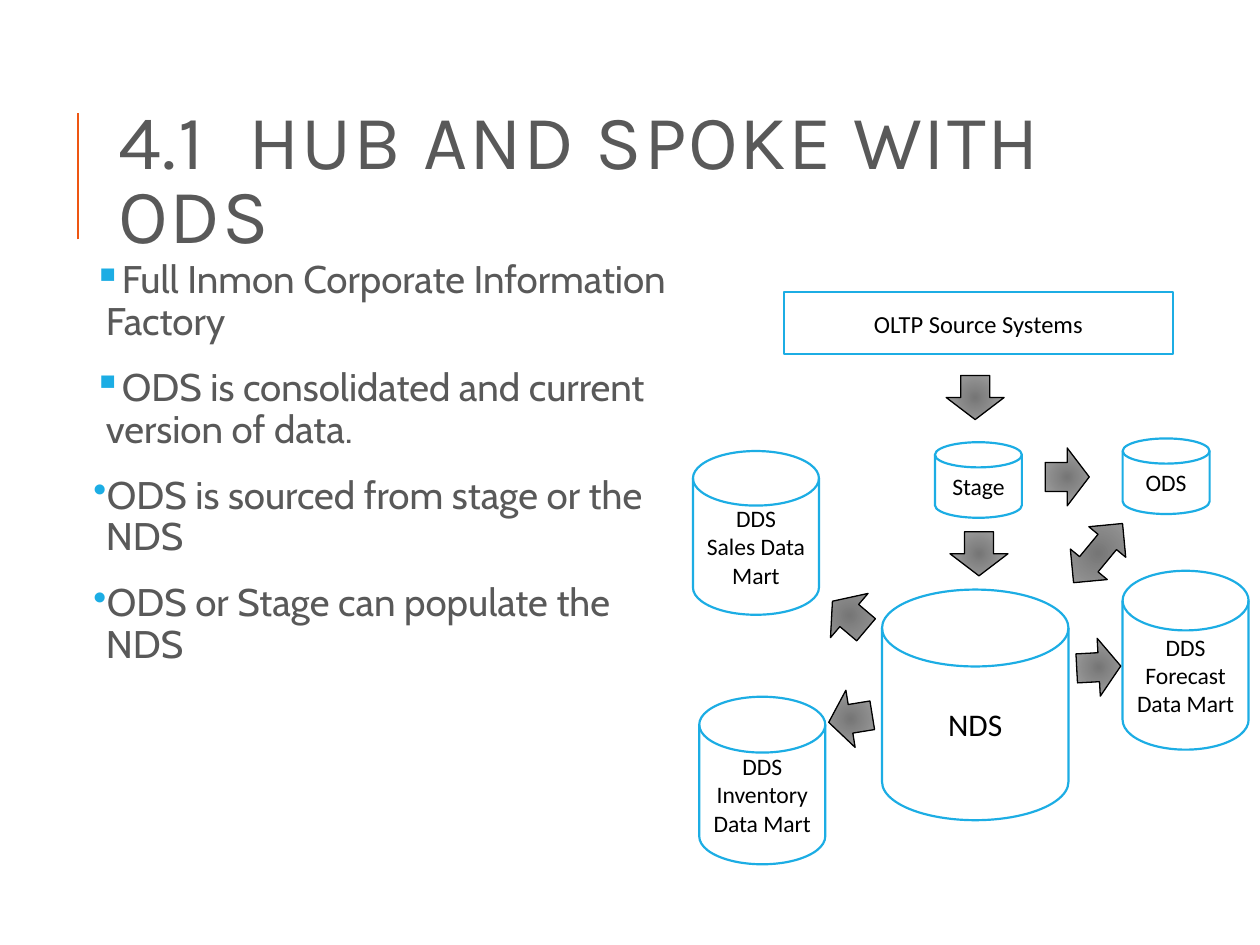
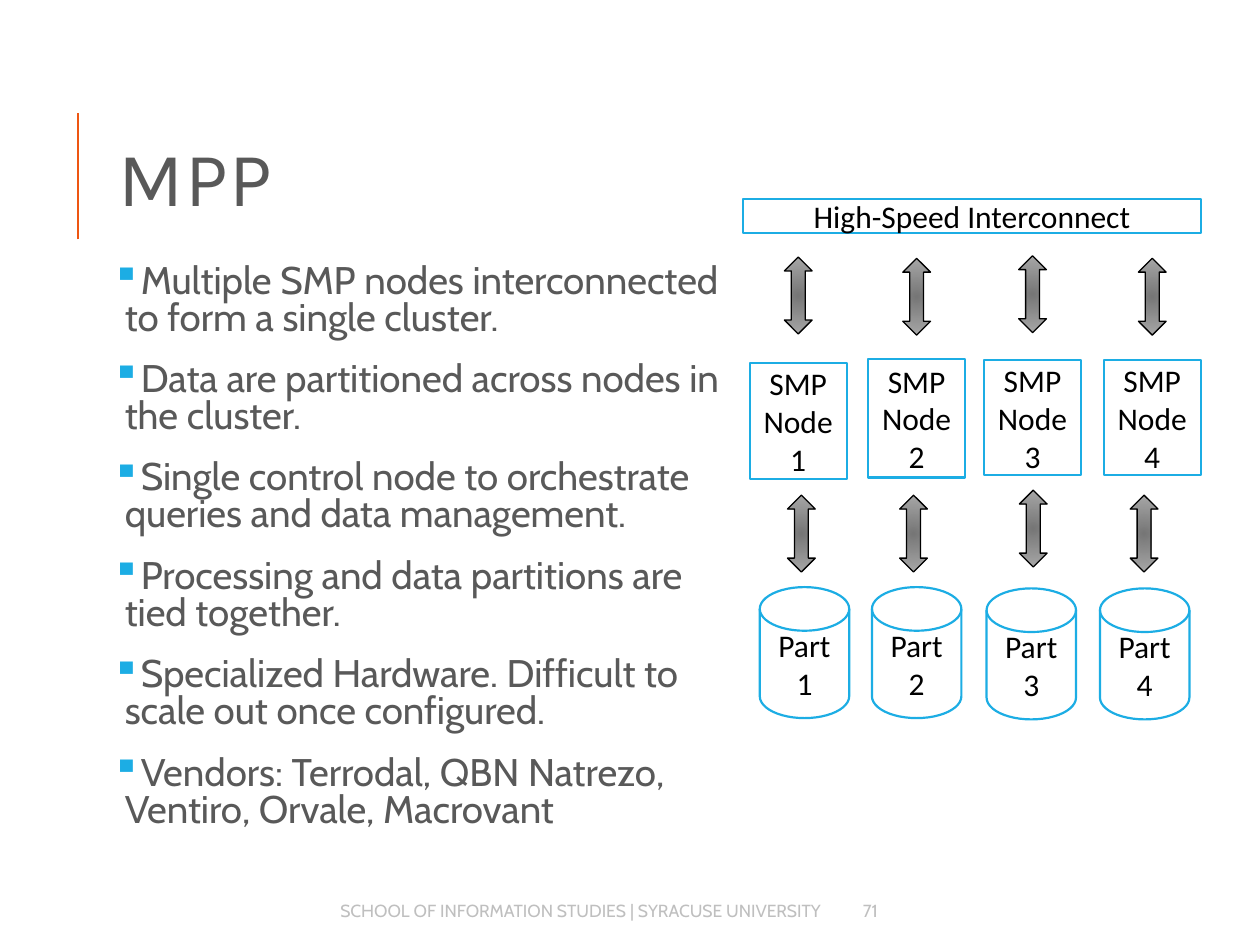
from dataclasses import dataclass

from lxml.etree import SubElement
from pptx import Presentation
from pptx.dml.color import RGBColor
from pptx.enum.shapes import MSO_CONNECTOR, MSO_SHAPE
from pptx.enum.text import MSO_ANCHOR, PP_ALIGN
from pptx.oxml import parse_xml
from pptx.oxml.ns import nsdecls, qn
from pptx.util import Inches, Pt


@dataclass(frozen=True)
class Theme:
    accent: str = "EE5612"
    outline: str = "1CADE4"
    heading: str = "595959"
    footer: str = "BFBFBF"
    ink: str = "000000"
    paper: str = "FFFFFF"
    arrow_core: str = "767676"
    arrow_edge: str = "A9A9A9"
    title_font: str = "Karla"
    body_font: str = "Cabin"
    label_font: str = "Calibri"
    title_size: float = 44
    body_size: float = 22
    footer_size: float = 10
    label_size: float = 18
    source_size: float = 14
    store_size: float = 13.5


THEME = Theme()
DISK = MSO_SHAPE.FLOWCHART_MAGNETIC_DISK
DOWN = MSO_SHAPE.DOWN_ARROW

TITLE_AREA = (0.84, 0.64, 7.97, 1.64)

HUB = {
    "title": [("4.1", 1), (" ", 14), ("HUB AND SPOKE WITH ODS", 1)],
    "area": (0.69, 2.02, 4.75, 5.09),
    "spacing": 0.9,
    "points": [
        ("▪", "Full Inmon Corporate Information Factory"),
        ("▪", "ODS is consolidated and current version of data."),
        ("•", "ODS is sourced from stage or the NDS"),
        ("•", "ODS or Stage can populate the NDS"),
    ],
}

MPP = {
    "title": [("MPP", 1)],
    "area": (0.84, 2.05, 4.99, 4.85),
    "spacing": 0.8,
    "points": [
        ("▪", "Multiple SMP nodes interconnected to form a single cluster."),
        ("▪", "Data are partitioned across nodes in the cluster."),
        ("▪", "Single control node to orchestrate queries and data management."),
        ("▪", "Processing and data partitions are tied together."),
        ("▪", "Specialized Hardware. Difficult to scale out once configured."),
        ("▪", "Vendors: Terrodal, QBN Natrezo, Ventiro, Orvale, Macrovant"),
    ],
}

SOURCE = ("OLTP Source Systems", (6.22, 2.32, 3.09, 0.49))
STORES = [
    ("Stage", (7.42, 3.51, 0.69, 0.6), THEME.store_size),
    ("NDS", (7, 4.68, 1.48, 1.83), THEME.label_size),
    ("DDS\nSales Data Mart", (5.5, 3.58, 1, 1.3), THEME.store_size),
    ("DDS\nInventory\nData Mart", (5.55, 5.53, 1, 1.33), THEME.store_size),
    ("DDS\nForecast\nData Mart", (8.91, 4.53, 1, 1.42), THEME.store_size),
    ("ODS", (8.91, 3.48, 0.69, 0.6), THEME.store_size),
]
FLOW_SIZE = (0.46, 0.35)
FLOWS = [
    (7.51, 2.98, 0),
    (7.54, 4.22, 0),
    (8.24, 3.61, 270),
    (6.52, 5.53, 80.8),
    (6.51, 4.71, 130.3),
    (8.49, 5.12, 266.9),
]
EXCHANGE = ((8.41, 4.2, 0.61, 0.38), 309.6)

INTERCONNECT = ("High-Speed Interconnect", (5.9, 1.58, 3.63, 0.27))
NODE_WIDTH = 0.77
NODES = [
    (["SMP", "Node1"], 5.95, 2.88, 0.92),
    (["SMP Node2"], 6.89, 2.85, 0.94),
    (["SMP\nNode 3"], 7.81, 2.86, 0.91),
    (["SMP\nNode 4"], 8.76, 2.86, 0.91),
]
PART_SIZE = (0.71, 1.04)
PARTS = [(6.03, 4.66), (6.92, 4.66), (7.83, 4.67), (8.73, 4.67)]
LINK_SIZE = (0.22, 0.61)
NODE_LINK_TOPS = [2.04, 2.05, 2.03, 2.05]
PART_LINKS = [(6.25, 3.93), (7.14, 3.93), (8.09, 3.89), (8.97, 3.93)]

FOOTERS = [
    ("SCHOOL OF INFORMATION STUDIES | SYRACUSE UNIVERSITY",
     (1.89, 7.08, 4.72, 0.3), PP_ALIGN.RIGHT),
    ("71", (6.75, 7.08, 0.91, 0.3), PP_ALIGN.LEFT),
]


def color(value):
    return RGBColor.from_string(value)


def inches(area):
    return [Inches(length) for length in area]


def add_span(para, text, font, size, ink):
    span = para.add_run()
    span.text = text
    span.font.name = font
    span.font.size = Pt(size)
    span.font.color.rgb = color(ink)
    return span


def add_text_box(page, area, anchor=MSO_ANCHOR.MIDDLE):
    frame = page.shapes.add_textbox(*inches(area)).text_frame
    frame.word_wrap = True
    frame.vertical_anchor = anchor
    return frame


def add_rule(page):
    rule = page.shapes.add_connector(
        MSO_CONNECTOR.STRAIGHT, *inches((0.62, 1.9, 0.62, 0.9)))
    rule.line.color.rgb = color(THEME.accent)
    rule.line.width = Pt(1.5)
    SubElement(rule._element.spPr, qn("a:effectLst"))


def add_title(page, spans):
    para = add_text_box(page, TITLE_AREA).paragraphs[0]
    para.line_spacing = 0.8
    for text, tracking in spans:
        span = add_span(para, text, THEME.title_font, THEME.title_size, THEME.heading)
        span.font._element.set("spc", str(tracking * 100))


def add_bullet(para, mark):
    properties = para._p.get_or_add_pPr()
    properties.set("marL", str(Inches(0.1)))
    properties.set("indent", str(Inches(-0.1)))
    tint = SubElement(properties, qn("a:buClr"))
    SubElement(tint, qn("a:srgbClr")).set("val", THEME.outline)
    SubElement(properties, qn("a:buChar")).set("char", mark)


def add_points(page, content):
    frame = add_text_box(page, content["area"], MSO_ANCHOR.TOP)
    frame.margin_left = frame.margin_right = Inches(0.05)
    for index, (mark, text) in enumerate(content["points"]):
        para = frame.add_paragraph() if index else frame.paragraphs[0]
        para.line_spacing = content["spacing"]
        para.space_before = Pt(12 if index else 0)
        para.space_after = Pt(2)
        add_bullet(para, mark)
        add_span(para, text, THEME.body_font, THEME.body_size, THEME.heading)


def add_page(deck, content):
    page = deck.slides.add_slide(deck.slide_layouts[6])
    add_rule(page)
    add_title(page, content["title"])
    add_points(page, content)
    return page


def add_label_box(page, kind, area, paragraphs, size):
    box = page.shapes.add_shape(kind, *inches(area))
    box.shadow.inherit = False
    box.fill.solid()
    box.fill.fore_color.rgb = color(THEME.paper)
    box.line.color.rgb = color(THEME.outline)
    box.line.width = Pt(1.25)
    frame = box.text_frame
    frame.word_wrap = True
    frame.vertical_anchor = MSO_ANCHOR.MIDDLE
    for index, text in enumerate(paragraphs):
        para = frame.add_paragraph() if index else frame.paragraphs[0]
        para.alignment = PP_ALIGN.CENTER
        for row, line in enumerate(text.split("\n")):
            if row:
                para.add_line_break()
            add_span(para, line, THEME.label_font, size, THEME.ink)


def add_arrow(page, kind, area, rotation=0):
    arrow = page.shapes.add_shape(kind, *inches(area))
    arrow.rotation = rotation
    arrow._element.spPr.append(parse_xml(
        f'<a:gradFill {nsdecls("a")} rotWithShape="1"><a:gsLst>'
        f'<a:gs pos="0"><a:srgbClr val="{THEME.arrow_core}"/></a:gs>'
        f'<a:gs pos="100000"><a:srgbClr val="{THEME.arrow_edge}"/></a:gs>'
        '</a:gsLst><a:path path="circle">'
        '<a:fillToRect l="100000" t="100000" r="100000" b="100000"/>'
        '</a:path></a:gradFill>'))
    arrow.line.color.rgb = color(THEME.ink)
    arrow.line.width = Pt(0.75)
    arrow.shadow.inherit = False


def draw_hub(page):
    text, area = SOURCE
    add_label_box(page, MSO_SHAPE.RECTANGLE, area, [text], THEME.source_size)
    for text, area, size in STORES:
        add_label_box(page, DISK, area, [text], size)
    for left, top, rotation in FLOWS:
        add_arrow(page, DOWN, (left, top, *FLOW_SIZE), rotation)
    add_arrow(page, MSO_SHAPE.LEFT_RIGHT_ARROW, *EXCHANGE)


def draw_cluster(page):
    text, area = INTERCONNECT
    add_label_box(page, MSO_SHAPE.RECTANGLE, area, [text], THEME.label_size)
    for (paragraphs, left, top, height), link_top in zip(NODES, NODE_LINK_TOPS):
        add_label_box(page, MSO_SHAPE.RECTANGLE, (left, top, NODE_WIDTH, height),
                      paragraphs, THEME.label_size)
        link_left = left + (NODE_WIDTH - LINK_SIZE[0]) / 2
        add_arrow(page, MSO_SHAPE.UP_DOWN_ARROW, (link_left, link_top, *LINK_SIZE))
    for number, (part, link) in enumerate(zip(PARTS, PART_LINKS), 1):
        add_label_box(page, DISK, (*part, *PART_SIZE), [f"Part\n{number}"],
                      THEME.label_size)
        add_arrow(page, MSO_SHAPE.UP_DOWN_ARROW, (*link, *LINK_SIZE))


def add_footers(page):
    for text, area, alignment in FOOTERS:
        para = add_text_box(page, area).paragraphs[0]
        para.alignment = alignment
        add_span(para, text, THEME.body_font, THEME.footer_size, THEME.footer)


def main():
    deck = Presentation()
    deck.slide_width = Inches(10)
    deck.slide_height = Inches(7.5)
    draw_hub(add_page(deck, HUB))
    cluster_page = add_page(deck, MPP)
    draw_cluster(cluster_page)
    add_footers(cluster_page)
    deck.save("out.pptx")


if __name__ == "__main__":
    main()
